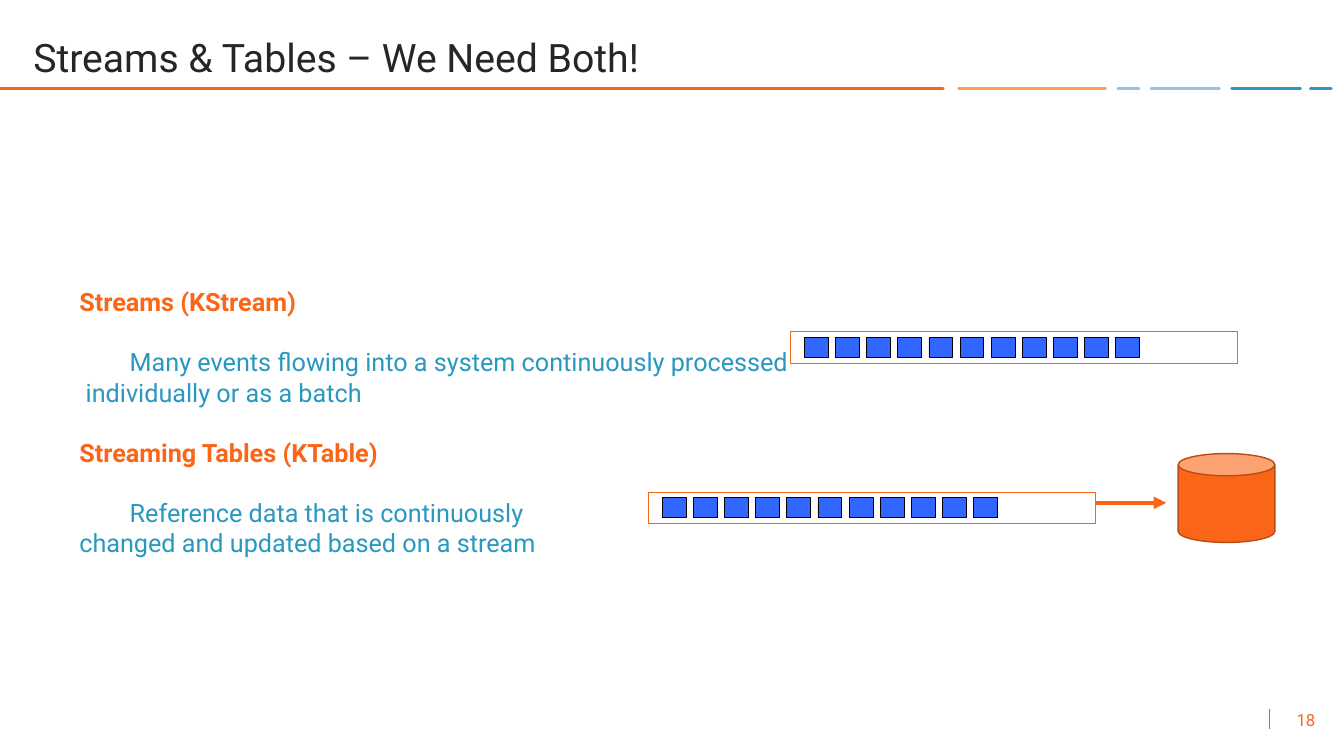
from lxml.etree import SubElement
from pptx import Presentation
from pptx.dml.color import RGBColor
from pptx.enum.shapes import MSO_CONNECTOR, MSO_SHAPE
from pptx.enum.text import MSO_ANCHOR, PP_ALIGN
from pptx.oxml.ns import qn
from pptx.util import Cm, Pt

ORANGE = RGBColor(0xFB, 0x65, 0x17)
LIGHT_ORANGE = RGBColor(0xFC, 0x9D, 0x60)
DARK_ORANGE = RGBColor(0xBA, 0x4B, 0x11)
LIGHT_BLUE = RGBColor(0x93, 0xC3, 0xE6)
TEAL = RGBColor(0x28, 0x98, 0xC1)
EVENT_BLUE = RGBColor(0x33, 0x66, 0xFF)
BLACK = RGBColor(0, 0, 0)
INK = RGBColor(0x26, 0x26, 0x26)
GREY = RGBColor(0x7C, 0x7C, 0x7C)

RULE_TOP = 2.23
RULE_SEGMENTS = [
    (0, 23.77, ORANGE),
    (24.16, 27.86, LIGHT_ORANGE),
    (28.17, 28.7, LIGHT_BLUE),
    (29.01, 30.73, LIGHT_BLUE),
    (31.04, 32.77, TEAL),
    (33.02, 33.55, TEAL),
]
EVENT_COUNT = 11
EVENT_SPAN = 7.85


class SlideBuilder:
    """Draws styled elements on the current slide."""

    def __init__(self, slide, font_name):
        self.slide = slide
        self.font_name = font_name

    def text_box(self, left, top, width, height, anchor=MSO_ANCHOR.TOP, side_inset=0.25):
        shape = self.slide.shapes.add_textbox(Cm(left), Cm(top), Cm(width), Cm(height))
        frame = shape.text_frame
        frame.word_wrap = True
        frame.vertical_anchor = anchor
        frame.margin_left = frame.margin_right = Cm(side_inset)
        return frame

    def add_text(self, paragraph, text, size, color, bold=False):
        run = paragraph.add_run()
        run.text = text
        font = run.font
        font.name, font.size, font.bold = self.font_name, Pt(size), bold
        font.color.rgb = color

    def line(self, start, end, color, width, cap="flat", arrow=False):
        connector = self.slide.shapes.add_connector(
            MSO_CONNECTOR.STRAIGHT, *(Cm(value) for value in (*start, *end)))
        connector.line.color.rgb = color
        connector.line.width = Pt(width)
        outline = connector.line._get_or_add_ln()
        outline.set("cap", cap)
        if arrow:
            SubElement(outline, qn("a:tailEnd"), type="triangle")
        SubElement(connector._element.spPr, qn("a:effectLst"))

    def shape(self, shapes, kind, left, top, width, height, fill, border, border_width):
        shape = shapes.add_shape(kind, Cm(left), Cm(top), Cm(width), Cm(height))
        shape.shadow.inherit = False
        if fill is None:
            shape.fill.background()
        else:
            shape.fill.solid()
            shape.fill.fore_color.rgb = fill
        shape.line.color.rgb = border
        shape.line.width = Pt(border_width)

    def stream(self, left, top):
        shapes = self.slide.shapes.add_group_shape().shapes
        self.shape(shapes, MSO_SHAPE.RECTANGLE, left, top, 11.28, 0.79, None, ORANGE, 0.5)
        for index in range(EVENT_COUNT):
            event_left = left + 0.36 + index * EVENT_SPAN / (EVENT_COUNT - 1)
            self.shape(shapes, MSO_SHAPE.RECTANGLE, event_left, top + 0.14, 0.6, 0.51,
                       EVENT_BLUE, BLACK, 0.5)

    def definitions(self, frame, rows):
        for index, (text, color, bold, space, margin, indent) in enumerate(rows):
            paragraph = frame.paragraphs[0] if index == 0 else frame.add_paragraph()
            paragraph.space_before = Pt(space)
            properties = paragraph._p.get_or_add_pPr()
            properties.set("marL", str(Cm(margin)))
            properties.set("indent", str(Cm(indent)))
            self.add_text(paragraph, text, 18, color, bold)


def main():
    presentation = Presentation()
    presentation.slide_width = Cm(33.87)
    presentation.slide_height = Cm(19.05)
    slide = presentation.slides.add_slide(presentation.slide_layouts[6])
    builder = SlideBuilder(slide, "Roboto")

    for start, end, color in RULE_SEGMENTS:
        builder.line((start, RULE_TOP), (end, RULE_TOP), color, 2, cap="rnd")
    builder.line((32, 18.36), (32, 17.86), GREY, 1)

    number = builder.text_box(31.5, 17.75, 1.9, 0.76, MSO_ANCHOR.MIDDLE).paragraphs[0]
    number.alignment = PP_ALIGN.RIGHT
    builder.add_text(number, "18", 12, ORANGE)

    title = builder.text_box(0.84, 0, 32.18, 2.16, MSO_ANCHOR.BOTTOM, 0).paragraphs[0]
    title.line_spacing = 0.9
    builder.add_text(title, "Streams & Tables – We Need Both!", 28, INK)

    builder.definitions(builder.text_box(1.75, 7.09, 30.71, 7.19), [
        ("Streams (KStream)", ORANGE, True, 0, 0, 0),
        ("Many events flowing into a system continuously processed",
         TEAL, False, 21.5, 0, 1.27),
        ("individually or as a batch", TEAL, False, 0, 0.16, 0),
        ("Streaming Tables (KTable)", ORANGE, True, 21.5, 0, 0),
        ("Reference data that is continuously", TEAL, False, 21.5, 0, 1.27),
        ("changed and updated based on a stream", TEAL, False, 0, 0, 0),
    ])

    builder.stream(19.91, 8.36)
    builder.stream(16.33, 12.4)
    builder.shape(slide.shapes, MSO_SHAPE.CAN, 29.69, 11.43, 2.44, 2.24,
                  ORANGE, DARK_ORANGE, 1)
    builder.line((27.61, 12.67), (29.39, 12.67), ORANGE, 3, arrow=True)

    presentation.save("out.pptx")


if __name__ == "__main__":
    main()
